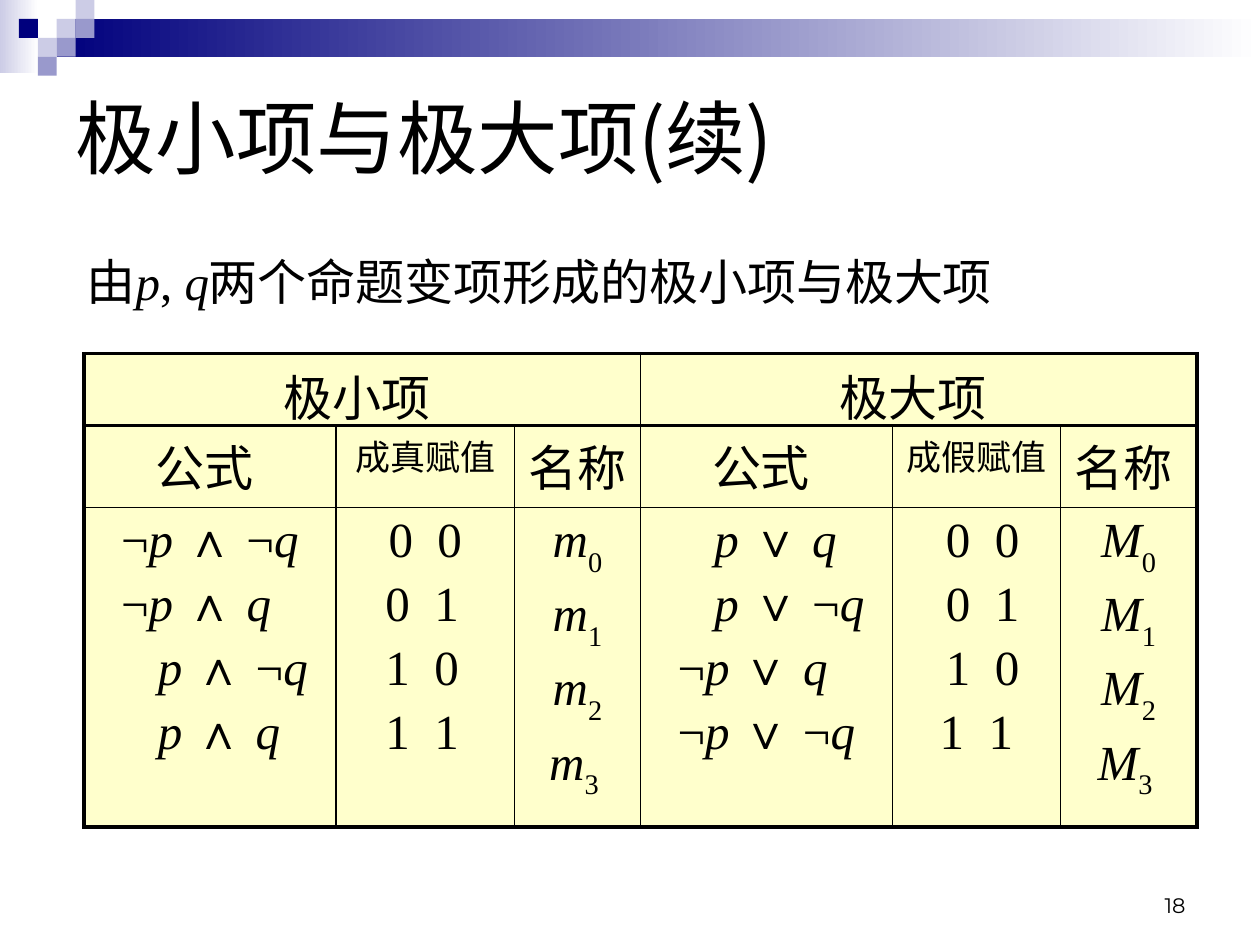
"""Build the slide on minterms and maxterms of two propositional variables."""
from lxml import etree
from pptx import Presentation
from pptx.dml.color import RGBColor
from pptx.enum.shapes import MSO_SHAPE
from pptx.enum.text import MSO_ANCHOR, PP_ALIGN
from pptx.oxml.ns import qn
from pptx.util import Pt

RECT = MSO_SHAPE.RECTANGLE
TOP, MIDDLE, BOTTOM = MSO_ANCHOR.TOP, MSO_ANCHOR.MIDDLE, MSO_ANCHOR.BOTTOM
LEFT, CENTER, RIGHT = PP_ALIGN.LEFT, PP_ALIGN.CENTER, PP_ALIGN.RIGHT

BLACK = RGBColor(0x00, 0x00, 0x00)
WHITE = RGBColor(0xFF, 0xFF, 0xFF)
NAVY = RGBColor(0x00, 0x00, 0x7D)
LAVENDER = RGBColor(0xCC, 0xCC, 0xE6)
PERIWINKLE = RGBColor(0x99, 0x99, 0xCC)
CREAM = RGBColor(0xFF, 0xFF, 0xCC)

HAN = {"name": "Noto Sans CJK SC", "size": Pt(28)}
HAN_SMALL = HAN | {"size": Pt(20)}
HAN_TITLE = HAN | {"size": Pt(46)}
ROMAN = {"name": "Times New Roman", "size": Pt(28), "italic": False}
ITALIC = ROMAN | {"italic": True}
NUMBER = {"name": "Montserrat", "size": Pt(12)}
SUBSCRIPT = {"baseline": "-30000"}
WIDE = {"spc": "700"}

UNIT = 10.8
THICK, THIN = 2.25, 1
TABLE_LEFT = 48


class SlideBuilder:
    """Holds the style and the current slide."""

    def __init__(self, slide):
        self.slide = slide
        self.ink = BLACK
        self.cell_color = CREAM
        self.gap = Pt(5.6)

    def block(self, left, top, width, height, color, fade_to=None):
        shape = self.slide.shapes.add_shape(RECT, Pt(left), Pt(top), Pt(width), Pt(height))
        shape.shadow.inherit = False
        shape.line.fill.background()
        if fade_to is None:
            shape.fill.solid()
            shape.fill.fore_color.rgb = color
            return
        shape.fill.gradient()
        shape.fill.gradient_angle = 0
        for stop, stop_color, position in zip(shape.fill.gradient_stops, (color, fade_to), (0, 1)):
            stop.color.rgb = stop_color
            stop.position = position

    def fill_text(self, frame, lines):
        for row, (runs, align, indent) in enumerate(lines):
            paragraph = frame.add_paragraph() if row else frame.paragraphs[0]
            paragraph.alignment = align
            if row:
                paragraph.space_before = self.gap
            if indent:
                properties = paragraph._p.get_or_add_pPr()
                properties.set("marL", str(Pt(indent)))
                properties.set("indent", "0")
            for text, style, extra in runs:
                run = paragraph.add_run()
                run.text = text
                for key, value in style.items():
                    setattr(run.font, key, value)
                run.font.color.rgb = self.ink
                properties = run._r.get_or_add_rPr()
                etree.SubElement(properties, qn("a:ea"), typeface=style["name"])
                for key, value in extra.items():
                    properties.set(key, value)

    def text(self, left, top, width, height, line, anchor):
        box = self.slide.shapes.add_textbox(Pt(left), Pt(top), Pt(width), Pt(height))
        box.text_frame.word_wrap = True
        box.text_frame.vertical_anchor = anchor
        self.fill_text(box.text_frame, [line])

    def border(self, cell, widths):
        properties = cell._tc.get_or_add_tcPr()
        for side, width in zip("LRTB", widths):
            edge = etree.SubElement(properties, qn(f"a:ln{side}"), w=str(Pt(width)))
            fill = etree.SubElement(edge, qn("a:solidFill"))
            etree.SubElement(fill, qn("a:srgbClr"), val=str(self.ink))

    def table(self, top, widths, heights, content):
        last_row, last_column = len(heights) - 1, len(widths) - 1
        table = self.slide.shapes.add_table(
            len(heights), len(widths), Pt(TABLE_LEFT), Pt(top), Pt(sum(widths)), Pt(sum(heights))
        ).table
        table.first_row = table.horz_banding = False
        for column, width in zip(table.columns, widths):
            column.width = Pt(width)
        for r, height in enumerate(heights):
            table.rows[r].height = Pt(height)
            for c, lines in enumerate(content[r]):
                cell = table.cell(r, c)
                outer = (c == 0, c == last_column, r == 0, r == last_row)
                self.border(cell, [THICK if is_outer else THIN for is_outer in outer])
                cell.fill.solid()
                cell.fill.fore_color.rgb = self.cell_color
                self.fill_text(cell.text_frame, lines)


def plain(text, style, align=CENTER):
    """Return a line of one run."""
    return [(text, style, {})], align, 0


def formula(operator, negate_p, negate_q):
    """Return the line for a minterm or maxterm."""
    runs = [("p ", ITALIC, {}), (operator + (" ¬" if negate_q else " "), ROMAN, {}), ("q", ITALIC, {})]
    if negate_p:
        runs.insert(0, ("¬", ROMAN, {}))
    return runs, LEFT, 14 if negate_p else 35


def assignment(p, q, align, indent, tail=""):
    """Return the line for the truth values of p and q."""
    return [(str(p), ROMAN, {}), (" ", ROMAN, WIDE), (f"{q}{tail}", ROMAN, {})], align, indent


def term_name(letter, index):
    """Return the line for a subscripted term name."""
    return [(letter, ITALIC, {}), (f"{index} " if index == 3 else str(index), ROMAN, SUBSCRIPT)], CENTER, 0


def main():
    """Build and save the slide."""
    deck = Presentation()
    deck.slide_width, deck.slide_height = Pt(720), Pt(540)
    builder = SlideBuilder(deck.slides.add_slide(deck.slide_layouts[6]))

    builder.block(0, 0, 22, 42, LAVENDER, WHITE)
    builder.block(3 * UNIT, UNIT, 720 - 3 * UNIT, 2 * UNIT, NAVY, WHITE)
    mosaic = [(3, 1, LAVENDER), (4, 0, LAVENDER), (4, 1, PERIWINKLE), (2, 2, LAVENDER),
              (1, 1, NAVY), (3, 2, PERIWINKLE), (2, 3, PERIWINKLE)]
    for column, row, color in mosaic:
        builder.block(column * UNIT, row * UNIT, UNIT, UNIT, color)

    builder.text(516.5, 492, 168, 36, plain("18", NUMBER, RIGHT), BOTTOM)
    builder.text(36, 36, 648, 84, plain("极小项与极大项(续)", HAN_TITLE, LEFT), MIDDLE)
    topic = [("由", HAN, {}), ("p", ITALIC, {}), (", ", ROMAN, {}), ("q", ITALIC, {}),
             ("两个命题变项形成的极小项与极大项", HAN, {})]
    builder.text(42.5, 140, 648, 48, (topic, LEFT, 0), TOP)

    headings = [[plain(text, style)] for text, style in (
        ("公式 ", HAN), ("成真赋值", HAN_SMALL), ("名称 ", HAN),
        ("公式 ", HAN), ("成假赋值", HAN_SMALL), ("名称 ", HAN))]
    values = [(p, q) for p in (0, 1) for q in (0, 1)]
    terms = [
        [formula("∧", not p, not q) for p, q in values],
        [assignment(p, q, LEFT if p or q else CENTER, 21 if p or q else 0) for p, q in values],
        [term_name("m", index) for index in range(4)],
        [formula("∨", p, q) for p, q in values],
        [assignment(p, q, CENTER, 7, " " if p and q else "") for p, q in values],
        [term_name("M", index) for index in range(4)],
    ]
    builder.table(242, [144, 102, 72, 144, 96, 78], [48, 168.5], [headings, terms])
    builder.table(202, [318, 318], [41], [[[plain("极小项 ", HAN)], [plain("极大项 ", HAN)]]])
    deck.save("out.pptx")


if __name__ == "__main__":
    main()
